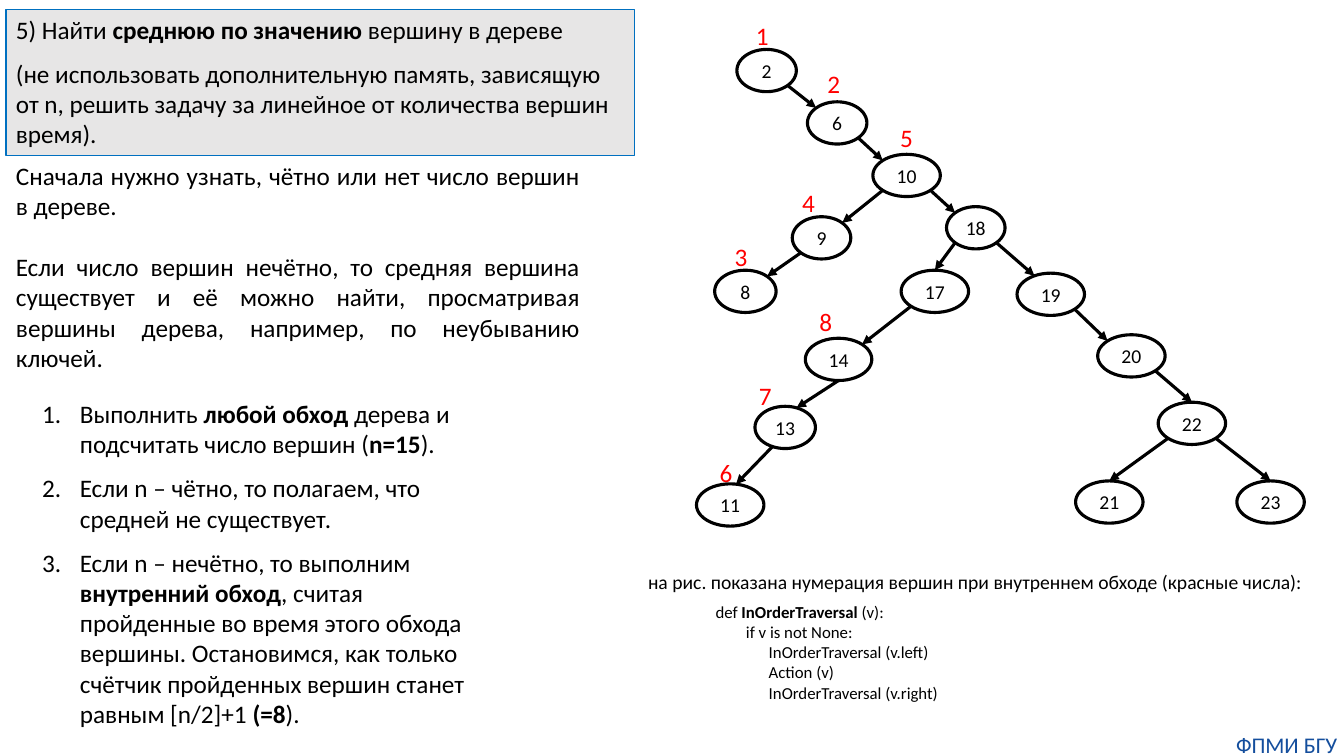
from dataclasses import dataclass
from math import cos, radians, sin

from lxml.etree import SubElement
from pptx import Presentation
from pptx.dml.color import RGBColor
from pptx.enum.shapes import MSO_CONNECTOR as Connector, MSO_SHAPE as Preset
from pptx.enum.text import MSO_ANCHOR as Anchor, PP_ALIGN as Align
from pptx.oxml.ns import qn
from pptx.util import Pt

FONT = "Calibri"
BLACK, RED, NAVY = "000000", "FF0000", "144E9D"
NODE_HEIGHT = 30.2
STROKE = 2.25

# Directions on an ellipse, in degrees clockwise from its right end
BOTTOM_RIGHT, BOTTOM, BOTTOM_LEFT = 45, 90, 135
TOP_LEFT, TOP, TOP_RIGHT = 225, 270, 315


@dataclass
class Node:
    """A tree vertex, placed by its centre."""
    key: int
    x: float
    y: float
    width: float = 48.2

    def rim(self, angle: float) -> tuple[float, float]:
        """Return the point of the outline in the given direction."""
        turn = radians(angle)
        return (self.x + self.width / 2 * cos(turn),
                self.y + NODE_HEIGHT / 2 * sin(turn))


@dataclass
class Edge:
    """An arrow from a parent to a child, with its two directions."""
    parent: int
    child: int
    leave: float
    arrive: float


@dataclass
class Line:
    """A paragraph; parts between ** marks are bold."""
    text: str
    before: float = 0
    after: float = 0
    indent: float = 0
    numbered: bool = False
    align: Align = Align.LEFT


@dataclass
class Block:
    """A text box with its place and paragraphs."""
    left: float
    top: float
    width: float
    height: float
    size: float
    lines: list[Line]
    color: str = BLACK
    margin: float | None = None
    wrap: bool = True


NODES = [
    Node(2, 547.6, 50.4, 42.5), Node(6, 598, 87.8, 42.5),
    Node(10, 647.6, 125.3), Node(18, 697, 162.7, 41.8),
    Node(9, 586.8, 169.9, 41.8), Node(8, 532.4, 208.1, 43.9),
    Node(17, 667.8, 208.1), Node(14, 599, 256.7, 47.5),
    Node(13, 560.9, 305.3, 43.2), Node(11, 521.6, 360.7),
    Node(19, 750.6, 210.2), Node(20, 808.2, 254.2),
    Node(22, 851.4, 302.4), Node(21, 792.4, 358.6), Node(23, 907.6, 358.6),
]
EDGES = [
    Edge(2, 6, BOTTOM_RIGHT, TOP_LEFT), Edge(6, 10, BOTTOM_RIGHT, TOP_LEFT),
    Edge(10, 9, BOTTOM_LEFT, TOP_RIGHT), Edge(10, 18, BOTTOM_RIGHT, TOP_LEFT),
    Edge(9, 8, BOTTOM_LEFT, TOP_RIGHT), Edge(18, 17, BOTTOM_LEFT, TOP),
    Edge(18, 19, BOTTOM_RIGHT, 241), Edge(17, 14, BOTTOM_LEFT, TOP_RIGHT),
    Edge(14, 13, BOTTOM, 292), Edge(13, 11, 115, 280),
    Edge(19, 20, BOTTOM_RIGHT, TOP_LEFT), Edge(20, 22, BOTTOM_RIGHT, TOP),
    Edge(22, 21, BOTTOM_LEFT, TOP), Edge(22, 23, BOTTOM_RIGHT, TOP),
]
# Left and top of the visit numbers 1 to 8
VISITS = [(532.8, 10.8), (583.9, 45.4), (517.7, 168.5), (565.9, 130.3),
          (635.8, 83.5), (506.9, 323.3), (535, 267.8), (578.2, 215.3)]

TASK = [
    Line("5) Найти **среднюю по значению** вершину в дереве", after=10),
    Line("(не использовать дополнительную память, зависящую от n, решить "
         "задачу за линейное от количества вершин время).", after=10),
]
BLOCKS = [
    Block(4.3, 110.9, 416.9, 159.8, 18, [
        Line("Сначала нужно узнать, чётно или нет число вершин в дереве.",
             align=Align.JUSTIFY),
        Line("Если число вершин нечётно, то средняя вершина существует и её "
             "можно найти, просматривая вершины дерева, например, по "
             "неубыванию ключей.", before=22, align=Align.JUSTIFY)]),
    Block(23, 280.8, 332.6, 245.5, 18, [
        Line(step, before=10, indent=27, numbered=True) for step in (
            "Выполнить **любой обход** дерева и подсчитать число вершин "
            "(**n=15**).",
            "Если n – чётно, то полагаем, что средней не существует.",
            "Если n – нечётно, то выполним **внутренний обход**, считая "
            "пройденные во время этого обхода вершины. Остановимся, как "
            "только счётчик пройденных вершин станет равным [n/2]+1 "
            "**(=8**).")]),
    Block(455.8, 403.9, 496, 24.5, 14, [
        Line("на рис. показана нумерация вершин при внутреннем обходе "
             "(красные числа):")]),
    Block(504, 426.2, 190, 80, 12, [
        Line("def **InOrderTraversal** (v):"),
        Line("if v is not None:", indent=21.7),
        Line("InOrderTraversal (v.left)", indent=38),
        Line("Action (v)", indent=38),
        Line("InOrderTraversal (v.right)", indent=38)]),
    Block(878.4, 522, 81.4, 19.4, 16, [Line("ФПМИ БГУ", align=Align.CENTER)],
          color=NAVY, margin=0),
] + [Block(left, top, 23.8, 28.8, 18, [Line(str(visit))], RED, wrap=False)
     for visit, (left, top) in enumerate(VISITS, 1)]


def rgb(value: str) -> RGBColor:
    """Turn a hex string into a colour."""
    return RGBColor.from_string(value)


def write(frame, lines: list[Line], size: float, color: str = BLACK,
          margin: float | None = None, wrap: bool = True) -> None:
    """Fill a text frame with formatted paragraphs."""
    frame.word_wrap = wrap
    if margin is not None:
        frame.margin_left = frame.margin_right = Pt(margin)
        frame.margin_top = frame.margin_bottom = Pt(margin)
    for index, line in enumerate(lines):
        para = frame.add_paragraph() if index else frame.paragraphs[0]
        props = para._p.get_or_add_pPr()
        props.set("marL", str(Pt(line.indent)))
        if line.numbered:
            props.set("indent", str(-Pt(line.indent)))
            SubElement(props, qn("a:buAutoNum"), type="arabicPeriod")
        para.alignment = line.align
        para.space_before, para.space_after = Pt(line.before), Pt(line.after)
        para.font.name, para.font.size = FONT, Pt(size)
        para.font.color.rgb = rgb(color)
        for part, text in enumerate(line.text.split("**")):
            span = para.add_run()
            span.text = text
            if part % 2:
                span.font.bold = True


def draw_block(page, block: Block) -> None:
    """Add a text box."""
    box = page.shapes.add_textbox(Pt(block.left), Pt(block.top),
                                  Pt(block.width), Pt(block.height))
    write(box.text_frame, block.lines, block.size, block.color,
          block.margin, block.wrap)


def draw_task(page) -> None:
    """Add the grey panel with the task."""
    panel = page.shapes.add_shape(Preset.RECTANGLE, Pt(4.3), Pt(6.5),
                                  Pt(449.3), Pt(104.4))
    panel.shadow.inherit = False
    panel.fill.solid()
    panel.fill.fore_color.rgb = rgb("E7E6E6")
    panel.line.color.rgb, panel.line.width = rgb("0070C0"), Pt(0.75)
    panel.text_frame.vertical_anchor = Anchor.TOP
    write(panel.text_frame, TASK, 18)


def draw_node(page, node: Node) -> None:
    """Add a vertex with its key."""
    oval = page.shapes.add_shape(
        Preset.OVAL, Pt(node.x - node.width / 2), Pt(node.y - NODE_HEIGHT / 2),
        Pt(node.width), Pt(NODE_HEIGHT))
    oval.shadow.inherit = False
    oval.fill.background()
    oval.line.color.rgb, oval.line.width = rgb(BLACK), Pt(STROKE)
    oval.text_frame.vertical_anchor = Anchor.MIDDLE
    write(oval.text_frame, [Line(str(node.key), align=Align.CENTER)], 14,
          margin=0)


def draw_edge(page, start: tuple[float, float],
              end: tuple[float, float]) -> None:
    """Add an arrow between two points."""
    arrow = page.shapes.add_connector(
        Connector.STRAIGHT, *(Pt(value) for value in start + end))
    arrow.line.color.rgb, arrow.line.width = rgb(BLACK), Pt(STROKE)
    SubElement(arrow.line._get_or_add_ln(), qn("a:tailEnd"), type="triangle")
    SubElement(arrow._element.spPr, qn("a:effectLst"))


deck = Presentation()
deck.slide_width, deck.slide_height = Pt(960), Pt(540)
page = deck.slides.add_slide(deck.slide_layouts[6])
by_key = {node.key: node for node in NODES}
for edge in EDGES:
    draw_edge(page, by_key[edge.parent].rim(edge.leave),
              by_key[edge.child].rim(edge.arrive))
for node in NODES:
    draw_node(page, node)
draw_task(page)
for block in BLOCKS:
    draw_block(page, block)
deck.save("out.pptx")
